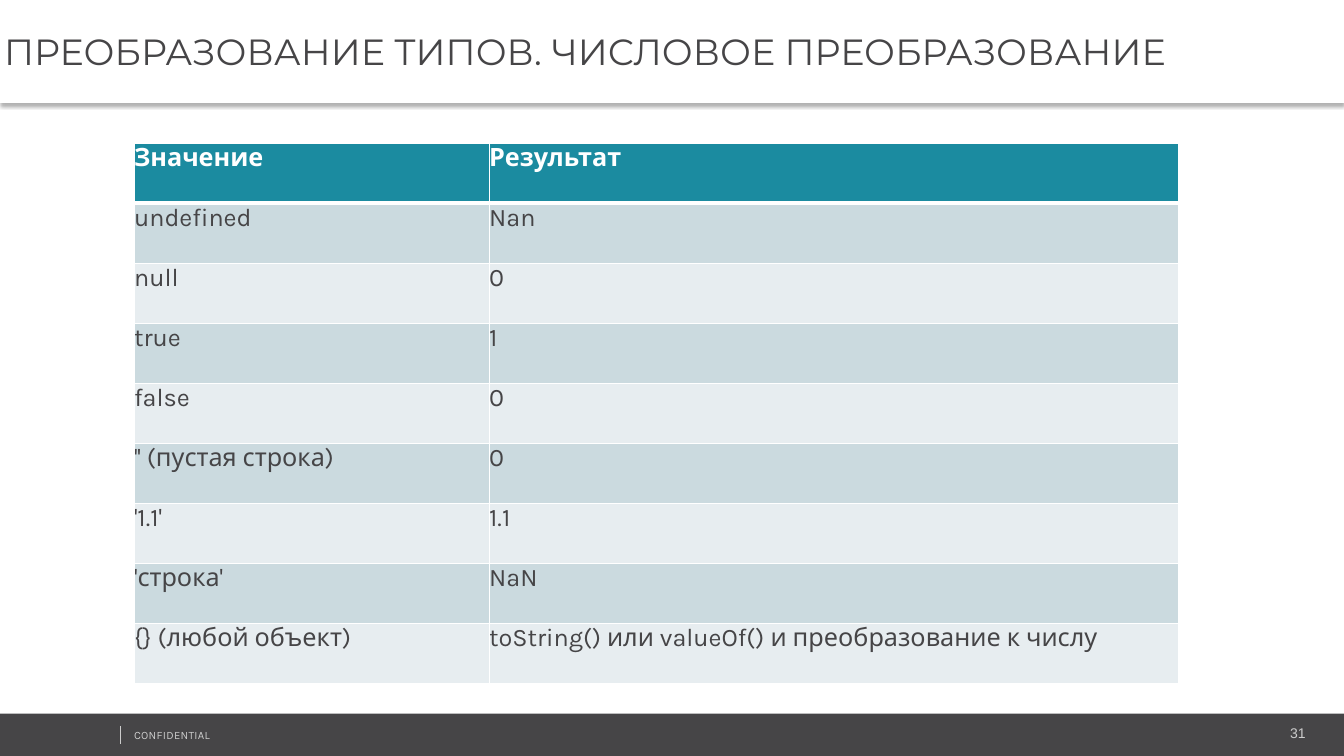
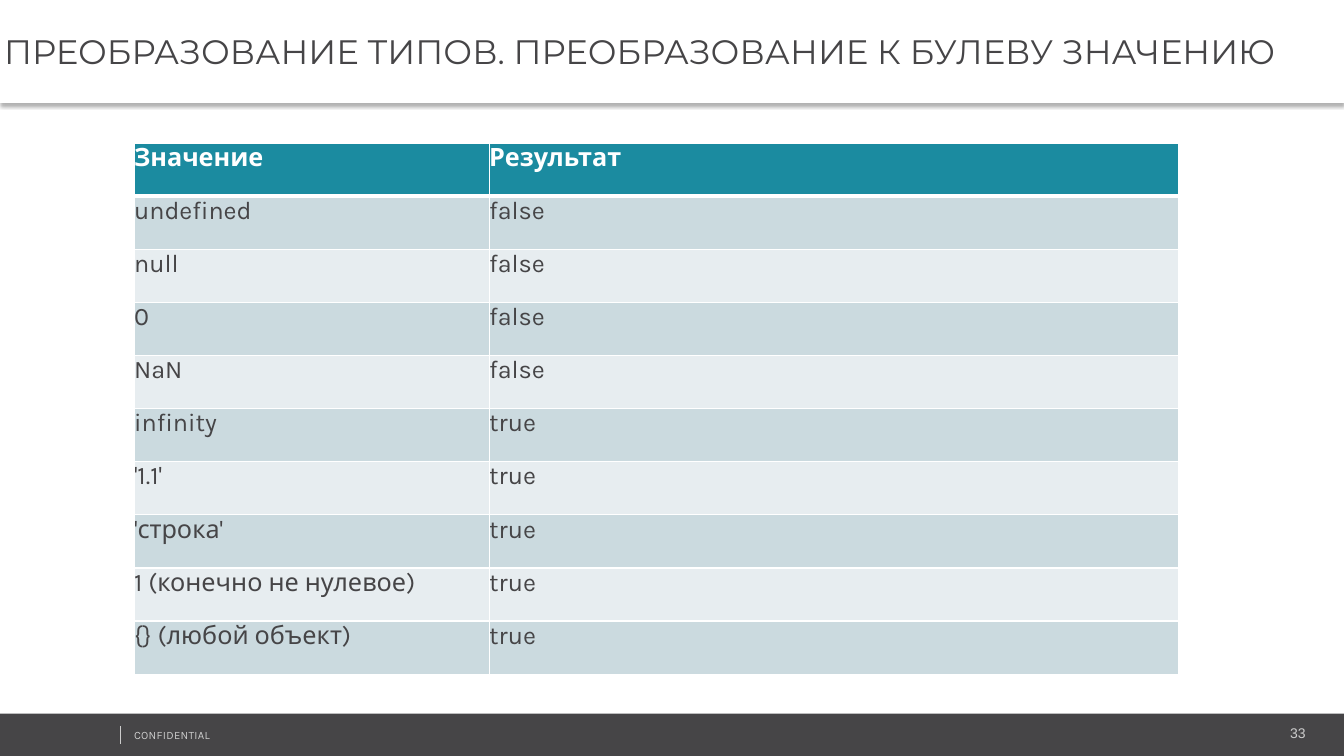
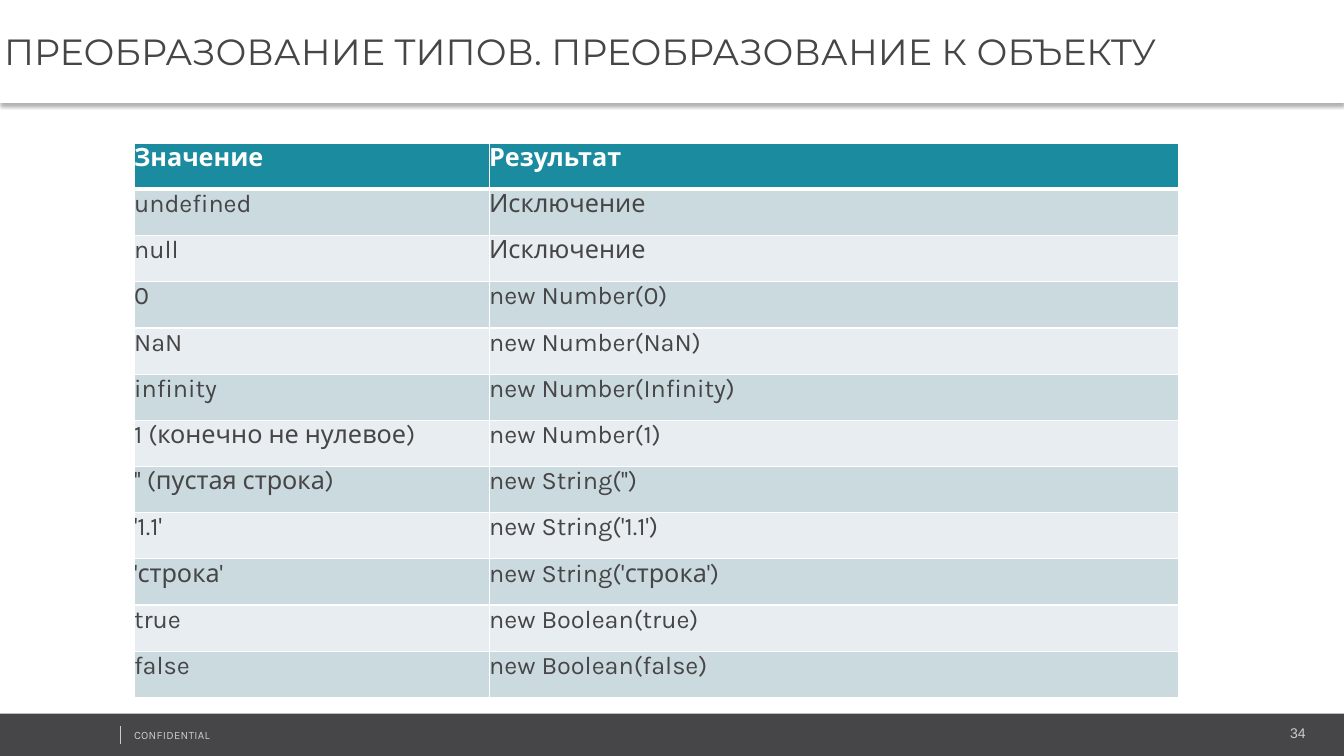
from pptx import Presentation
from pptx.dml.color import RGBColor
from pptx.enum.shapes import MSO_CONNECTOR, MSO_SHAPE
from pptx.enum.text import MSO_ANCHOR, MSO_AUTO_SIZE, PP_ALIGN
from pptx.oxml import parse_xml
from pptx.oxml.ns import nsdecls
from pptx.util import Inches, Pt

RECT, LINE = MSO_SHAPE.RECTANGLE, MSO_CONNECTOR.STRAIGHT
MIDDLE, LEFT, RIGHT = MSO_ANCHOR.MIDDLE, PP_ALIGN.LEFT, PP_ALIGN.RIGHT
FIXED, GROW = MSO_AUTO_SIZE.NONE, MSO_AUTO_SIZE.SHAPE_TO_FIT_TEXT

WIDE, HIGH = 13.33, 7.5
WHITE, DARK, GREY = "FFFFFF", "464547", "CCCCCC"
TEAL, BANDS = "1B8BA0", ("E7EDF0", "CBDADF")
HEAD, BODY, PAGE = "Montserrat", "Karla", "Arial"
TITLE_BOX = (0, 0, WIDE, 1.02)
FOOT_BOX = (0, 7.08, WIDE, 0.43)
COLS = (0.34, 0.66)
TOPIC = "ПРЕОБРАЗОВАНИЕ ТИПОВ. "
EMPTY = "'' (пустая строка)"
ONE = "1 (конечно не нулевое)"
ANY = "{} (любои\u0306 объект)"
FAIL = "Исключение"

SLIDES = [
    ("31", "ЧИСЛОВОЕ ПРЕОБРАЗОВАНИЕ", 26, 5.36, [
        ("undefined", "Nan"), ("null", "0"), ("true", "1"), ("false", "0"),
        (EMPTY, "0"), ("'1.1'", "1.1"), ("'строка'", "NaN"),
        (ANY, "toString() или valueOf() и преобразование к числу")]),
    ("33", "ПРЕОБРАЗОВАНИЕ К БУЛЕВУ ЗНАЧЕНИЮ", 24.2, 5.27, [
        ("undefined", "false"), ("null", "false"), ("0", "false"),
        ("NaN", "false"), ("infinity", "true"), ("'1.1'", "true"),
        ("'строка'", "true"), (ONE, "true"), (ANY, "true")]),
    ("34", "ПРЕОБРАЗОВАНИЕ К ОБЪЕКТУ", 26, 5.5, [
        ("undefined", FAIL), ("null", FAIL), ("0", "new Number(0)"),
        ("NaN", "new Number(NaN)"), ("infinity", "new Number(Infinity)"),
        (ONE, "new Number(1)"), (EMPTY, "new String('')"),
        ("'1.1'", "new String('1.1')"), ("'строка'", "new String('строка')"),
        ("true", "new Boolean(true)"), ("false", "new Boolean(false)")]),
]


def paint(item, color):
    """Give a shape or cell a solid fill."""
    item.fill.solid()
    item.fill.fore_color.rgb = RGBColor.from_string(color)


def write(frame, text, face, size, color, inset=0, align=LEFT, bold=False):
    """Set one formatted paragraph and return it."""
    frame.text = text
    frame.margin_left = frame.margin_right = Inches(inset)
    frame.margin_top = frame.margin_bottom = Inches(inset)
    line = frame.paragraphs[0]
    line.alignment = align
    font = line.runs[0].font
    font.name, font.size, font.bold = face, Pt(size), bold
    font.color.rgb = RGBColor.from_string(color)
    return line


def add_title(slide, box, text, size):
    """Fill the title band, with a soft shadow below it."""
    title = slide.shapes.title
    title.left, title.top, title.width, title.height = map(Inches, box)
    paint(title, WHITE)
    title._element.spPr.append(parse_xml(
        f'<a:effectLst {nsdecls("a")}><a:outerShdw blurRad="38100" '
        'dist="25400" dir="5400000" rotWithShape="0"><a:srgbClr val="000000">'
        '<a:alpha val="30000"/></a:srgbClr></a:outerShdw></a:effectLst>'))
    frame = title.text_frame
    frame.word_wrap, frame.auto_size = True, FIXED
    frame.vertical_anchor = MIDDLE
    line = write(frame, text, HEAD, size, DARK, 0.04)
    line.space_before = Pt(6)


def add_label(slide, box, text, face, size, align=LEFT, wrap=True):
    """Place a small grey footer text and return its paragraph."""
    frame = slide.shapes.add_textbox(*map(Inches, box)).text_frame
    frame.word_wrap, frame.auto_size = wrap, GROW
    return write(frame, text, face, size, GREY, 0.05, align)


def add_foot(slide, box, page):
    """Draw the footer band with its rule, notice and page number."""
    left, top, width, height = box
    band = slide.shapes.add_shape(RECT, *map(Inches, box))
    band.shadow.inherit = False
    paint(band, DARK)
    band.line.fill.background()
    note = add_label(slide, (left + 1.28, top + 0.1, 3.38, 0.24),
                     "CONFIDENTIAL", BODY, 8)
    note.runs[0]._r.get_or_add_rPr().set("spc", "20")
    x = left + 1.19
    ends = (x, top + 0.12, x, top + 0.3)
    rule = slide.shapes.add_connector(LINE, *map(Inches, ends))
    rule.line.color.rgb = RGBColor.from_string(GREY)
    rule.line.width = Pt(0.25)
    rule._element.spPr.append(parse_xml(f'<a:effectLst {nsdecls("a")}/>'))
    add_label(slide, (left + width - 0.59, top + 0.06, 0.26, 0.25),
              page, PAGE, 10, RIGHT, False)


def add_edges(cell, row):
    """Draw white cell borders, thick between the header and the body."""
    wide = {"T": 3 if row == 1 else 1, "B": 3 if row == 0 else 1}
    for spot, side in enumerate("LRTB"):
        cell._tc.get_or_add_tcPr().insert(spot, parse_xml(
            f'<a:ln{side} {nsdecls("a")} w="{Pt(wide.get(side, 1))}">'
            f'<a:solidFill><a:srgbClr val="{WHITE}"/></a:solidFill>'
            f'</a:ln{side}>'))


def add_grid(slide, box, rows):
    """Draw a two-column table with a header and banded rows."""
    width, height = box[2:]
    grid = slide.shapes.add_table(len(rows), len(COLS),
                                  *map(Inches, box)).table
    for col, share in zip(grid.columns, COLS):
        col.width = Inches(width * share)
    for r, texts in enumerate(rows):
        grid.rows[r].height = Inches(height / len(rows))
        for c, text in enumerate(texts):
            cell = grid.cell(r, c)
            top = r == 0
            write(cell.text_frame, text, BODY, 18,
                  WHITE if top else DARK, bold=top)
            cell.margin_left = cell.margin_right = 0
            cell.margin_top = cell.margin_bottom = 0
            paint(cell, TEAL if top else BANDS[r % 2])
            add_edges(cell, r)


def add_page(deck, page, name, size, height, rows):
    """Build one slide: footer, title and conversion table."""
    slide = deck.slides.add_slide(deck.slide_layouts.get_by_name("Title Only"))
    add_foot(slide, FOOT_BOX, page)
    add_title(slide, TITLE_BOX, TOPIC + name, size)
    add_grid(slide, (1.33, 1.42, 10.36, height),
             [("Значение", "Результат")] + rows)


def main():
    """Build and save the deck."""
    deck = Presentation()
    deck.slide_width, deck.slide_height = Inches(WIDE), Inches(HIGH)
    for entry in SLIDES:
        add_page(deck, *entry)
    deck.save("out.pptx")


main()
